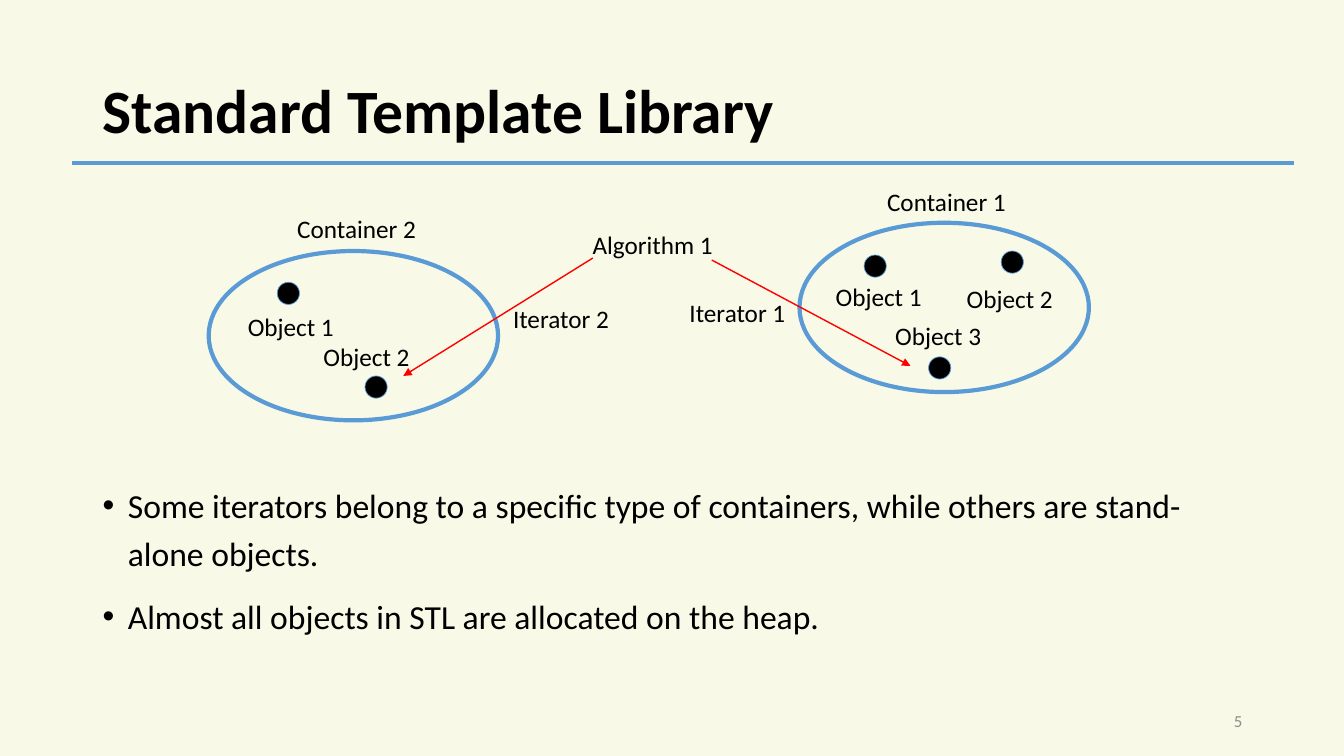
from lxml import etree
from pptx import Presentation
from pptx.dml.color import RGBColor
from pptx.enum.shapes import MSO_CONNECTOR, MSO_SHAPE
from pptx.enum.text import MSO_ANCHOR, PP_ALIGN
from pptx.oxml.ns import qn
from pptx.util import Inches, Pt

LINE = MSO_CONNECTOR.STRAIGHT
OVAL = MSO_SHAPE.OVAL
TOP, MIDDLE = MSO_ANCHOR.TOP, MSO_ANCHOR.MIDDLE
LEFT, RIGHT = PP_ALIGN.LEFT, PP_ALIGN.RIGHT

CREAM = RGBColor(0xF8, 0xF9, 0xE7)
BLACK = RGBColor(0x00, 0x00, 0x00)
GRAY = RGBColor(0x8C, 0x8C, 0x8C)
BLUE = RGBColor(0x5B, 0x9B, 0xD5)
RED = RGBColor(0xFF, 0x00, 0x00)

FONT = "Calibri"
DOT = 0.22
RINGS = [(7.93, 2.21), (2.07, 2.49)]
DOTS = [(8.57, 2.53), (9.93, 2.49), (9.21, 3.54), (2.75, 2.8), (3.62, 3.73)]
LABELS = [
    ("Container 1", 8.7, 1.8),
    ("Object 1", 8.19, 2.74),
    ("Object 2", 9.49, 2.76),
    ("Object 3", 8.78, 3.13),
    ("Container 2", 2.85, 2.07),
    ("Object 1", 2.36, 3.04),
    ("Object 2", 3.11, 3.34),
    ("Algorithm 1", 5.78, 2.23),
    ("Iterator 1", 6.74, 2.9),
    ("Iterator 2", 4.99, 2.96),
]
ARROWS = [(7.06, 2.58, 9.03, 3.63), (5.88, 2.56, 4, 3.73)]
POINTS = [
    "Some iterators belong to a specific type of containers, "
    "while others are stand-alone objects.",
    "Almost all objects in STL are allocated on the heap.",
]


def add_bullet(para):
    props = para._p.get_or_add_pPr()
    props.set("marL", str(Inches(0.25)))
    props.set("indent", str(Inches(-0.25)))
    font = etree.SubElement(props, qn("a:buFont"))
    font.set("typeface", "Arial")
    mark = etree.SubElement(props, qn("a:buChar"))
    mark.set("char", "•")


def add_text(slide, lines, x, y, w, h, size=18, color=BLACK, bold=False,
             align=LEFT, anchor=TOP, space=1.0, gap=0, bullet=False):
    box = slide.shapes.add_textbox(Inches(x), Inches(y), Inches(w), Inches(h))
    frame = box.text_frame
    frame.word_wrap = True
    frame.vertical_anchor = anchor
    for i, line in enumerate(lines):
        para = frame.paragraphs[0] if i == 0 else frame.add_paragraph()
        if bullet:
            add_bullet(para)
        para.alignment = align
        para.line_spacing = space
        if i:
            para.space_before = Pt(gap)
        run = para.add_run()
        run.text = line
        run.font.name = FONT
        run.font.size = Pt(size)
        run.font.bold = bold
        run.font.color.rgb = color


def add_oval(slide, x, y, w, h, width, fill=None):
    oval = slide.shapes.add_shape(OVAL, Inches(x), Inches(y), Inches(w), Inches(h))
    oval.shadow.inherit = False
    if fill is None:
        oval.fill.background()
    else:
        oval.fill.solid()
        oval.fill.fore_color.rgb = fill
    oval.line.color.rgb = BLUE
    oval.line.width = Pt(width)


def add_line(slide, x1, y1, x2, y2, color, width, arrow=False):
    line = slide.shapes.add_connector(
        LINE, Inches(x1), Inches(y1), Inches(x2), Inches(y2))
    line.line.color.rgb = color
    line.line.width = Pt(width)
    if arrow:
        tail = etree.SubElement(line.line._get_or_add_ln(), qn("a:tailEnd"))
        tail.set("type", "triangle")
    etree.SubElement(line._element.spPr, qn("a:effectLst"))


def main():
    deck = Presentation()
    deck.slide_width = Inches(13.33)
    deck.slide_height = Inches(7.5)
    slide = deck.slides.add_slide(deck.slide_layouts[6])
    slide.background.fill.solid()
    slide.background.fill.fore_color.rgb = CREAM

    add_text(slide, ["Standard Template Library"], 0.92, 0.4, 11.5, 1.45,
             size=44, bold=True, anchor=MIDDLE, space=0.9)
    add_line(slide, 0.71, 1.62, 12.83, 1.62, BLUE, 3)
    for x, y in RINGS:
        add_oval(slide, x, y, 2.87, 1.68, 3)
    for x, y in DOTS:
        add_oval(slide, x, y, DOT, DOT, 0.5, fill=BLACK)
    for name, x, y in LABELS:
        add_text(slide, [name], x, y, 1.7, 0.4)
    for ends in ARROWS:
        add_line(slide, *ends, RED, 1, arrow=True)
    add_text(slide, POINTS, 0.92, 4.68, 11.5, 1.69, size=24,
             space=1.2, gap=10, bullet=True)
    add_text(slide, ["5"], 9.42, 6.95, 3, 0.4, size=12, color=GRAY,
             align=RIGHT, anchor=MIDDLE)
    deck.save("out.pptx")


if __name__ == "__main__":
    main()
